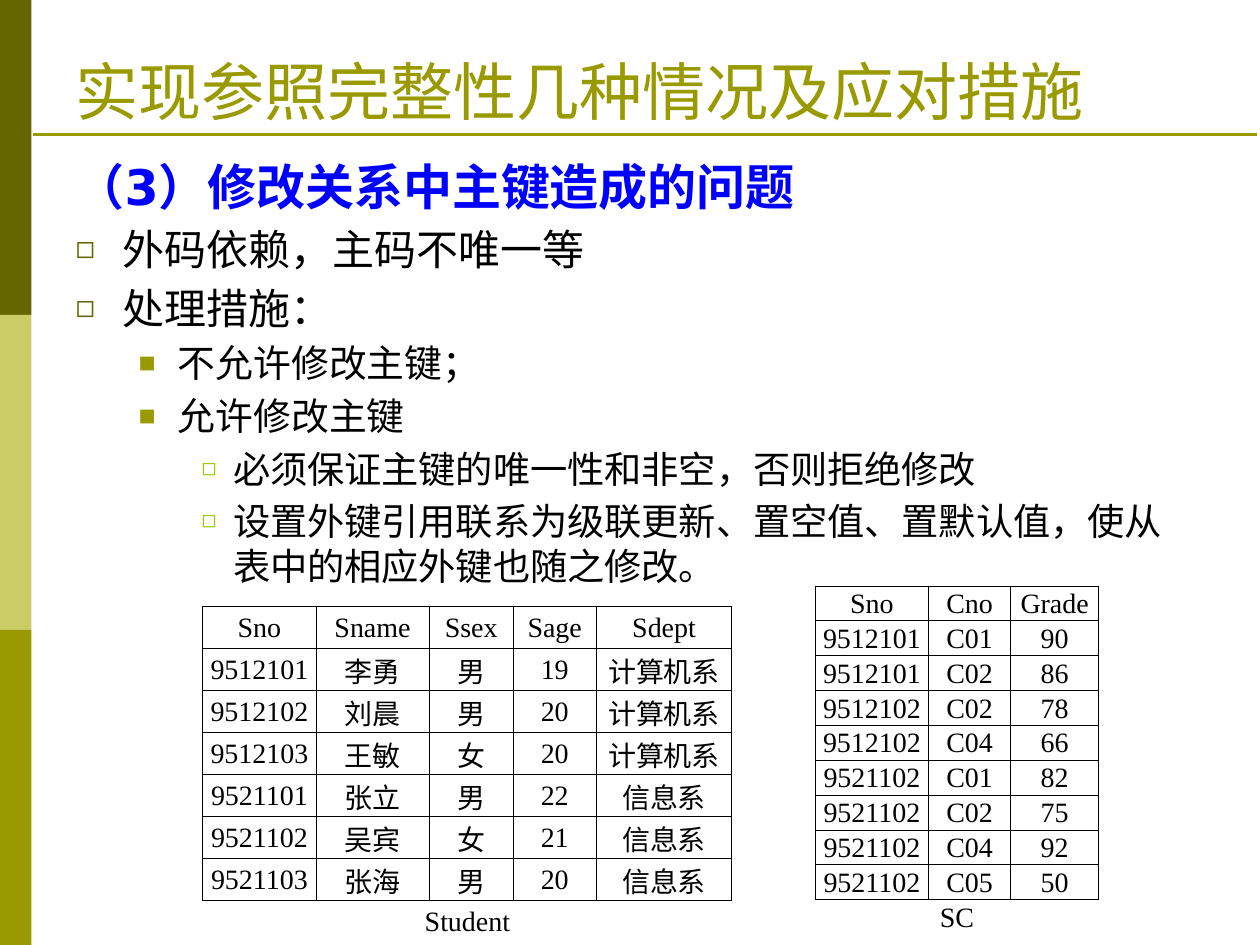
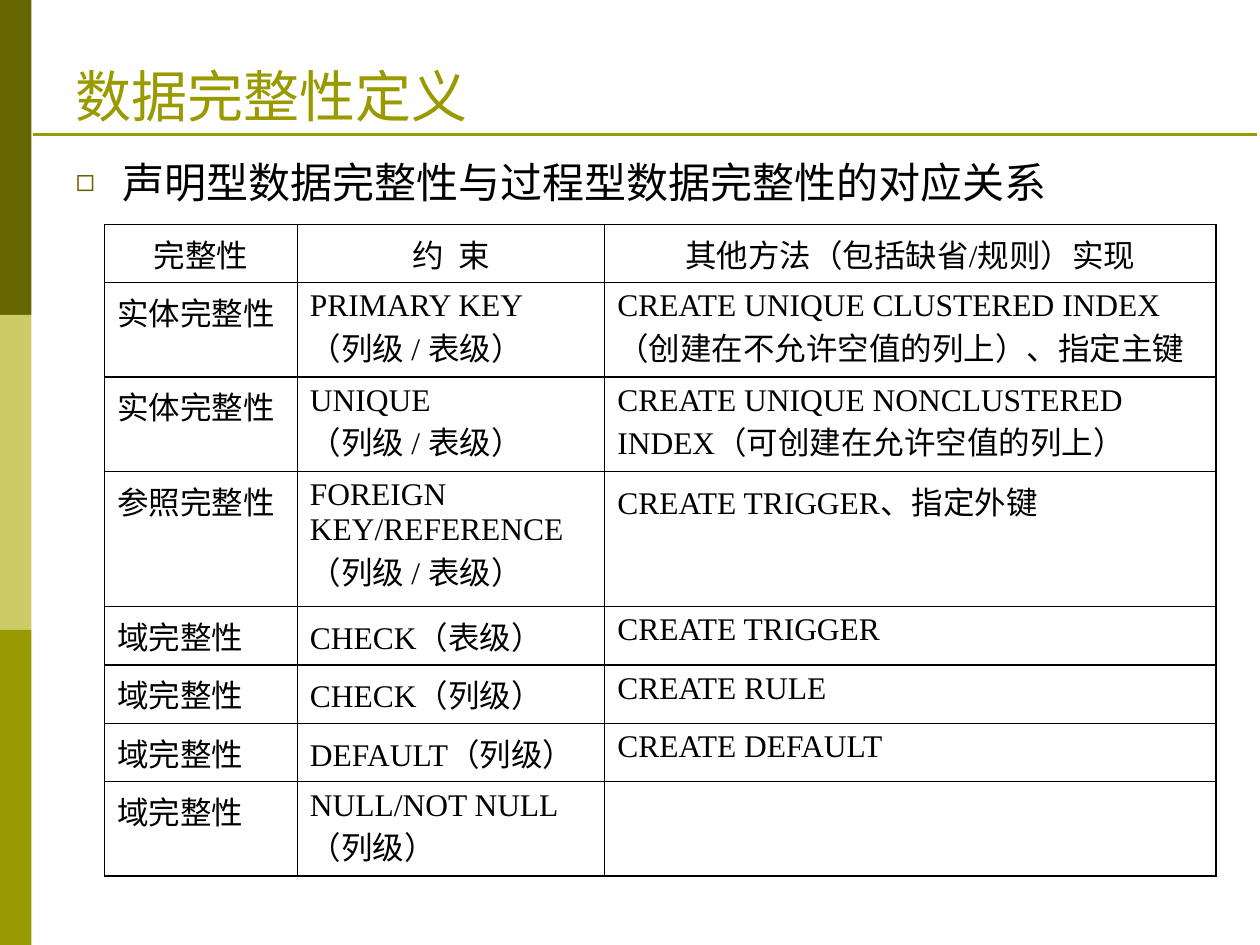
import collections

import lxml.etree
import pptx
import pptx.dml.color
import pptx.enum.shapes
import pptx.enum.text
import pptx.oxml
import pptx.oxml.ns
import pptx.util

RGB = pptx.dml.color.RGBColor
DARK_OLIVE = RGB(0x66, 0x66, 0x00)
PALE_OLIVE = RGB(0xCC, 0xCC, 0x66)
OLIVE = RGB(0x99, 0x99, 0x00)
LIME = RGB(0x99, 0xCC, 0x00)
BLUE = RGB(0x00, 0x00, 0xFF)
BLACK = RGB(0x00, 0x00, 0x00)

SERIF = "Times New Roman"
SANS = "DejaVu Sans"
COLUMNS, ROWS = 40, 30
ALIGN = pptx.enum.text.PP_ALIGN
ANCHOR = pptx.enum.text.MSO_ANCHOR

Box = collections.namedtuple("Box", "left top width height")
Level = collections.namedtuple("Level", "size bullet color percent")
TITLE_BOX = Box(2, 1.2, 36, 3.08)
BODY_BOX = Box(2, 4.6, 36, 22.68)
LEVELS = [
    Level(24, "◻", DARK_OLIVE, 75),
    Level(21.6, "■", OLIVE, 75),
    Level(21.3, "◻", LIME, 65),
]

MEASURES = [
    (0, "外码依赖，主码不唯一等"),
    (0, "处理措施："),
    (1, "不允许修改主键；"),
    (1, "允许修改主键"),
    (2, "必须保证主键的唯一性和非空，否则拒绝修改"),
    (2, "设置外键引用联系为级联更新、置空值、置默认值，使从表中的相应外键也随之修改。"),
]
STUDENTS = [
    ("Sno", "Sname", "Ssex", "Sage", "Sdept"),
    ("9512101", "李勇", "男", "19", "计算机系"),
    ("9512102", "刘晨", "男", "20", "计算机系"),
    ("9512103", "王敏", "女", "20", "计算机系"),
    ("9521101", "张立", "男", "22", "信息系"),
    ("9521102", "吴宾", "女", "21", "信息系"),
    ("9521103", "张海", "男", "20", "信息系"),
]
COURSE_GRADES = [
    ("Sno", "Cno", "Grade"),
    ("9512101", "C01", "90"),
    ("9512101", "C02", "86"),
    ("9512102", "C02", "78"),
    ("9512102", "C04", "66"),
    ("9521102", "C01", "82"),
    ("9521102", "C02", "75"),
    ("9521102", "C04", "92"),
    ("9521102", "C05", "50"),
]
CONSTRAINTS = [
    ("完整性", "约  束", "其他方法（包括缺省/规则）实现"),
    ("实体完整性", "PRIMARY KEY\n（列级 / 表级）",
     "CREATE UNIQUE CLUSTERED INDEX\n（创建在不允许空值的列上）、指定主键"),
    ("实体完整性", "UNIQUE\n（列级 / 表级）",
     "CREATE UNIQUE NONCLUSTERED INDEX（可创建在允许空值的列上）"),
    ("参照完整性", "FOREIGN KEY/REFERENCE\n（列级 / 表级）", "CREATE TRIGGER、指定外键"),
    ("域完整性", "CHECK（表级）", "CREATE TRIGGER"),
    ("域完整性", "CHECK（列级）", "CREATE RULE"),
    ("域完整性", "DEFAULT（列级）", "CREATE DEFAULT"),
    ("域完整性", "NULL/NOT NULL（列级）", ""),
]


def grid(units):
    """Convert grid units, a quarter inch each way, to a length."""
    return pptx.util.Inches(units * 10 / COLUMNS)


def place(part, box):
    """Move a placeholder to a box on the grid."""
    part.left, part.top, part.width, part.height = map(grid, box)


def style(paragraph, size, color, font, bold=False):
    """Format every run of a paragraph."""
    for run in paragraph.runs:
        run.font.name, run.font.size, run.font.bold = font, pptx.util.Pt(size), bold
        run.font.color.rgb = color


def add_frame(layout, slide):
    """Draw the side bands and title rule, and hand them to the shared layout."""
    for footer in list(layout.placeholders)[2:]:
        footer.element.getparent().remove(footer.element)
    frame = []
    band_height = ROWS / 3
    for index, color in enumerate((DARK_OLIVE, PALE_OLIVE, OLIVE)):
        band = slide.shapes.add_shape(
            pptx.enum.shapes.MSO_SHAPE.RECTANGLE,
            *map(grid, Box(0, index * band_height, 1, band_height)))
        band.shadow.inherit = False
        band.fill.solid()
        band.fill.fore_color.rgb = color
        band.line.fill.background()
        frame.append(band)
    rule = slide.shapes.add_connector(
        pptx.enum.shapes.MSO_CONNECTOR.STRAIGHT, *map(grid, (1.04, 4.28, 39.92, 4.28)))
    rule.line.color.rgb = OLIVE
    rule.line.width = pptx.util.Pt(1.5)
    lxml.etree.SubElement(rule.element.spPr, pptx.oxml.ns.qn("a:effectLst"))
    frame.append(rule)
    first_placeholder = layout.placeholders[0].element
    for part in frame:
        first_placeholder.addprevious(part.element)


def add_title(slide, text, size):
    """Fill the title above the rule."""
    title = slide.shapes.title
    place(title, TITLE_BOX)
    frame = title.text_frame
    frame.text = text
    frame.auto_size = pptx.enum.text.MSO_AUTO_SIZE.NONE
    frame.vertical_anchor = ANCHOR.BOTTOM
    frame.paragraphs[0].alignment = ALIGN.LEFT
    style(frame.paragraphs[0], size, OLIVE, SERIF)


def set_bullet(paragraph, level):
    """Give a paragraph the bullet of its level, or none."""
    properties = paragraph._p.get_or_add_pPr()
    if level is None:
        properties.set("marL", "0")
        properties.set("indent", "0")
        lxml.etree.SubElement(properties, pptx.oxml.ns.qn("a:buNone"))
        return
    color = lxml.etree.SubElement(properties, pptx.oxml.ns.qn("a:buClr"))
    lxml.etree.SubElement(color, pptx.oxml.ns.qn("a:srgbClr"), val=str(level.color))
    lxml.etree.SubElement(
        properties, pptx.oxml.ns.qn("a:buSzPct"), val=str(level.percent * 1000))
    lxml.etree.SubElement(properties, pptx.oxml.ns.qn("a:buChar"), char=level.bullet)


def add_body(slide, box, points, heading=None):
    """Fill the body with an optional blue heading and a bulleted outline."""
    body = slide.placeholders[1]
    place(body, box)
    frame = body.text_frame
    frame.auto_size = pptx.enum.text.MSO_AUTO_SIZE.NONE
    frame.margin_top = grid(0.36)
    lines = ([(None, heading)] if heading else []) + points
    frame.text = "\n".join(text for _, text in lines)
    for index, (paragraph, (depth, _)) in enumerate(zip(frame.paragraphs, lines)):
        level = None if depth is None else LEVELS[depth]
        size = level.size if level else 28
        paragraph.level = depth or 0
        paragraph.line_spacing = pptx.util.Pt(round(size * 1.2, 1))
        paragraph.space_before = pptx.util.Pt(round(size * 0.2, 1) if index else 0)
        set_bullet(paragraph, level)
        style(paragraph, size, BLACK if level else BLUE, SANS, bold=level is None)


def set_borders(cell, points, sides):
    """Rule the given sides of a cell in black and clear the others."""
    properties = cell._tc.get_or_add_tcPr()
    for index, side in enumerate("LRTB"):
        line = lxml.etree.Element(
            pptx.oxml.ns.qn("a:ln" + side), w=str(pptx.util.Pt(points)))
        if side in sides:
            fill = lxml.etree.SubElement(line, pptx.oxml.ns.qn("a:solidFill"))
            lxml.etree.SubElement(fill, pptx.oxml.ns.qn("a:srgbClr"), val=str(BLACK))
        else:
            lxml.etree.SubElement(line, pptx.oxml.ns.qn("a:noFill"))
        properties.insert(index, line)


def fill_cell(cell, text, size, border, sides="LRTB", centred=True):
    """Write and format one unfilled cell."""
    cell.text = text
    cell.fill.background()
    set_borders(cell, border, sides)
    for paragraph in cell.text_frame.paragraphs:
        paragraph.alignment = ALIGN.CENTER if centred else ALIGN.LEFT
        style(paragraph, size, BLACK, SERIF)


def add_grid_table(slide, left, top, widths, heights):
    """Add a plain table with the given column widths and row heights."""
    box = Box(left, top, sum(widths), sum(heights))
    table = slide.shapes.add_table(len(heights), len(widths), *map(grid, box)).table
    table.first_row = table.horz_banding = False
    for column, width in zip(table.columns, widths):
        column.width = grid(width)
    for row, height in zip(table.rows, heights):
        row.height = grid(height)
    return table


def add_relation(slide, box, shares, records, caption):
    """Add a database relation with its name in a merged last row."""
    widths = [box.width * share / sum(shares) for share in shares]
    count = len(records) + 1
    table = add_grid_table(slide, box.left, box.top, widths, [box.height / count] * count)
    blank = [""] * (len(widths) - 1)
    for row, values in enumerate(records + [(caption, *blank)]):
        sides = "T" if row == len(records) else "LRTB"
        for column, text in enumerate(values):
            cell = table.cell(row, column)
            cell.margin_left = cell.margin_right = cell.margin_top = grid(0.04)
            cell.margin_bottom = 0
            cell.vertical_anchor = ANCHOR.MIDDLE
            fill_cell(cell, text, 16, 0.5, sides)
    table.cell(count - 1, 0).merge(table.cell(count - 1, len(widths) - 1))


def add_constraints(slide, left, top):
    """Add the table that pairs each integrity kind with its constraint."""
    table = add_grid_table(slide, left, top, (6.12, 9.76, 19.4),
                           (1.84, 3, 3, 4.28, 1.86, 1.86, 1.84, 3))
    for row, values in enumerate(CONSTRAINTS):
        for column, text in enumerate(values):
            fill_cell(table.cell(row, column), text, 18, 1, centred=row == 0)


def build_key_update_slide(slide):
    """Build the slide on changing primary keys."""
    add_title(slide, "实现参照完整性几种情况及应对措施", 36)
    add_body(slide, BODY_BOX._replace(height=14), MEASURES, "（3）修改关系中主键造成的问题")
    add_relation(slide, Box(6.44, 19.25, 16.8, 10.68), (0.9, 0.9, 0.67, 0.66, 1.08),
                 STUDENTS, "Student")
    add_relation(slide, Box(25.88, 18.6, 9, 11.08), (0.9, 0.65, 0.7), COURSE_GRADES, "SC")


def build_definition_slide(slide):
    """Build the slide on defining data integrity."""
    add_title(slide, "数据完整性定义", 32)
    add_body(slide, BODY_BOX, [(0, "声明型数据完整性与过程型数据完整性的对应关系")])
    add_constraints(slide, 3.32, 7.12)


def main():
    """Build and save the presentation."""
    deck = pptx.Presentation()
    deck.slide_width, deck.slide_height = grid(COLUMNS), grid(ROWS)
    layout = deck.slide_layouts[1]
    key_update, definition = [deck.slides.add_slide(layout) for _ in range(2)]
    add_frame(layout, key_update)
    build_key_update_slide(key_update)
    build_definition_slide(definition)
    deck.save("out.pptx")


if __name__ == "__main__":
    main()
